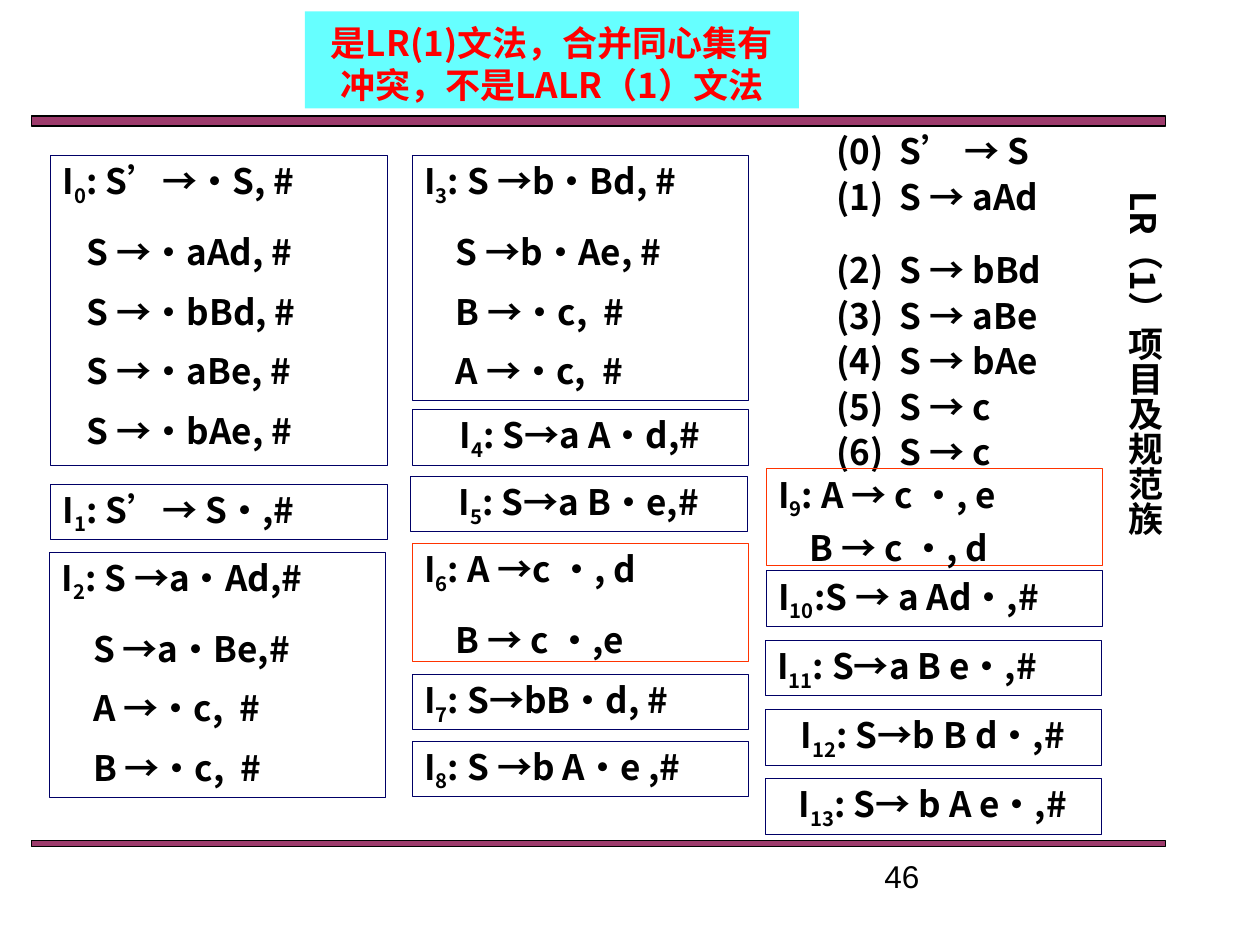
from dataclasses import dataclass

from lxml.etree import SubElement
from pptx import Presentation
from pptx.dml.color import RGBColor
from pptx.enum.shapes import MSO_SHAPE
from pptx.enum.text import MSO_ANCHOR, MSO_AUTO_SIZE, PP_ALIGN
from pptx.oxml.ns import qn
from pptx.util import Inches, Pt

BLACK = RGBColor(0x00, 0x00, 0x00)
RED = RGBColor(0xFF, 0x00, 0x00)
CYAN = RGBColor(0x66, 0xFF, 0xFF)
NAVY = RGBColor(0x00, 0x00, 0x66)
ORANGE = RGBColor(0xFF, 0x33, 0x00)
PLUM = RGBColor(0x99, 0x33, 0x66)

TEXT_FONT = "Noto Sans CJK SC"
NUMBER_FONT = "Arial"
PAGE_WIDTH, PAGE_HEIGHT = Inches(10), Inches(7.5)
GRID_COLUMNS, GRID_ROWS = 100, 75
BOX_WIDTH = 26.7
SINGLE_HEIGHT = 4.4
LEFT, MIDDLE, RIGHT = 4, 32.7, 60.8


@dataclass(frozen=True)
class Area:
    column: float
    row: float
    columns: float
    rows: float


@dataclass(frozen=True)
class ItemSet:
    number: int
    column: float
    row: float
    lines: tuple[str, ...]
    rows: float = SINGLE_HEIGHT
    border: RGBColor = NAVY
    centred: bool = False
    indent: float = 0.25
    gap: float = 10


ITEM_SETS = (
    ItemSet(0, LEFT, 12.3, (": S’→·S, #", "S →·aAd, #", "S →·bBd, #",
                            "S →·aBe, #", "S →·bAe, #"), 24.6, indent=0.19),
    ItemSet(1, LEFT, 38.4, (": S’→ S·,#",)),
    ItemSet(2, LEFT - 0.1, 43.8, (": S →a·Ad,#", "S →a·Be,#", "A →·c,  #",
                                  "B →·c,  #"), 19.5),
    ItemSet(3, MIDDLE, 12.3, (": S →b·Bd, #", "S →b·Ae, #", "B →·c,  #",
                              "A →·c,  #"), 19.5),
    ItemSet(4, MIDDLE, 32.5, (": S→a A·d,#",), centred=True),
    ItemSet(5, MIDDLE - 0.1, 37.8, (": S→a B·e,#",), centred=True),
    ItemSet(6, MIDDLE, 43.1, (": A →c ·, d", "B → c ·,e"), 9.4, ORANGE),
    ItemSet(7, MIDDLE, 53.5, (": S→bB·d, #",)),
    ItemSet(8, MIDDLE, 58.8, (": S →b A·e ,#",)),
    ItemSet(9, RIGHT, 37.2, (": A → c ·, e", "B → c ·, d"), 7.7, ORANGE, gap=0),
    ItemSet(10, RIGHT, 45.3, (":S → a Ad·,#",)),
    ItemSet(11, RIGHT - 0.1, 50.8, (": S→a B e·,#",)),
    ItemSet(12, RIGHT - 0.1, 56.3, (": S→b B d·,#",), centred=True),
    ItemSet(13, RIGHT - 0.1, 61.8, (": S→ b A e·,#",), centred=True),
)
PRODUCTIONS = ("S → aAd", "S → bBd", "S → aBe", "S → bAe", "S → c", "S → c")
SUBSCRIPT_DEPTH = 3.4


def place(area: Area) -> tuple[int, int, int, int]:
    across, down = PAGE_WIDTH / GRID_COLUMNS, PAGE_HEIGHT / GRID_ROWS
    return (round(area.column * across), round(area.row * down),
            round(area.columns * across), round(area.rows * down))


def move(box, area: Area) -> None:
    box.left, box.top, box.width, box.height = place(area)


def add_text(para, text: str, *, size: float = 20, font: str = TEXT_FONT,
             color: RGBColor = BLACK, bold: bool = True, baseline: int = 0) -> None:
    span = para.add_run()
    span.text = text
    span.font.size = Pt(size)
    span.font.bold = bold
    span.font.color.rgb = color
    span.font.name = font
    properties = span.font._element
    SubElement(properties, qn("a:ea")).set("typeface", font)
    if baseline:
        properties.set("baseline", str(baseline * 1000))


def set_paragraph(para, *, align=PP_ALIGN.LEFT, line: float = 24, before: float = 0,
                  margin: float = 0, hanging: float = 0, numbered: bool = False) -> None:
    properties = para._p.get_or_add_pPr()
    properties.set("marL", str(Inches(margin)))
    properties.set("indent", str(-Inches(hanging)))
    if numbered:
        SubElement(properties, qn("a:buFont")).set("typeface", TEXT_FONT)
        SubElement(properties, qn("a:buAutoNum")).set("type", "arabicParenBoth")
    else:
        SubElement(properties, qn("a:buNone"))
    para.alignment = align
    para.line_spacing = Pt(line)
    para.space_before = Pt(before)
    para.space_after = Pt(0)


def prepare_frame(box, *, top: float = 0.08):
    frame = box.text_frame
    frame.word_wrap = True
    frame.auto_size = MSO_AUTO_SIZE.NONE
    frame.vertical_anchor = MSO_ANCHOR.TOP
    frame.margin_left = frame.margin_right = Inches(0.1)
    frame.margin_top, frame.margin_bottom = Inches(top), 0
    return frame


def add_rectangle(page, area: Area, border: RGBColor, width: float):
    box = page.shapes.add_shape(MSO_SHAPE.RECTANGLE, *place(area))
    box.shadow.inherit = False
    box.fill.background()
    box.line.color.rgb = border
    box.line.width = Pt(width)
    return box


def add_rule(page, row: float, rows: float) -> None:
    bar = add_rectangle(page, Area(2.5, row, 90, rows), BLACK, 0.75)
    bar.fill.solid()
    bar.fill.fore_color.rgb = PLUM
    color = bar._element.spPr.find(qn("a:solidFill")).find(qn("a:srgbClr"))
    SubElement(color, qn("a:alpha")).set("val", "96000")


def add_item_set(page, item: ItemSet) -> None:
    area = Area(item.column, item.row, BOX_WIDTH, item.rows)
    frame = prepare_frame(add_rectangle(page, area, item.border, 0.25))
    head, *rest = item.lines
    para = frame.paragraphs[0]
    set_paragraph(para, align=PP_ALIGN.CENTER if item.centred else PP_ALIGN.LEFT)
    add_text(para, "I")
    add_text(para, str(item.number), baseline=-25)
    add_text(para, head)
    for index, line in enumerate(rest):
        para = frame.add_paragraph()
        depth = 0 if index else SUBSCRIPT_DEPTH
        set_paragraph(para, margin=item.indent, before=item.gap + depth)
        add_text(para, line)


def fill_productions(box) -> None:
    move(box, Area(65.4, 10.7, 20.5, 26.8))
    frame = prepare_frame(box, top=0.07)
    para = frame.paragraphs[0]
    set_paragraph(para, line=16)
    add_text(para, "(0)  S’ → S")
    for index, production in enumerate(PRODUCTIONS):
        para = frame.add_paragraph()
        set_paragraph(para, line=16, before=26 if index == 1 else 10,
                      margin=0.5, hanging=0.5, numbered=True)
        add_text(para, production)


def fill_title(box) -> None:
    move(box, Area(24.2, 0.9, 39.2, 7.7))
    box.fill.solid()
    box.fill.fore_color.rgb = CYAN
    para = prepare_frame(box).paragraphs[0]
    set_paragraph(para, align=PP_ALIGN.CENTER)
    add_text(para, "是LR(1)文法，合并同心集有冲突，不是LALR（1）文法", color=RED)


def add_side_heading(page) -> None:
    box = page.shapes.add_textbox(*place(Area(84.2, 14.2, 8.8, 42.5)))
    frame = prepare_frame(box, top=0.05)
    frame.margin_right = Inches(0.05)
    frame._txBody.bodyPr.set("vert", "eaVert")
    para = frame.paragraphs[0]
    set_paragraph(para, align=PP_ALIGN.CENTER)
    add_text(para, "LR（1）项目及规范族")


def add_page_number(page) -> None:
    box = page.shapes.add_textbox(*place(Area(69.2, 67.5, 23.3, 2.7)))
    para = prepare_frame(box, top=0.05).paragraphs[0]
    add_text(para, "46", size=18, font=NUMBER_FONT, bold=False)


def main() -> None:
    deck = Presentation()
    deck.slide_width, deck.slide_height = PAGE_WIDTH, PAGE_HEIGHT
    page = deck.slides.add_slide(deck.slide_layouts[1])
    add_rule(page, 9.2, 0.8)
    add_rule(page, 66.7, 0.5)
    for item in ITEM_SETS:
        add_item_set(page, item)
    fill_productions(page.placeholders[1])
    add_side_heading(page)
    fill_title(page.shapes.title)
    add_page_number(page)
    deck.save("out.pptx")


if __name__ == "__main__":
    main()
